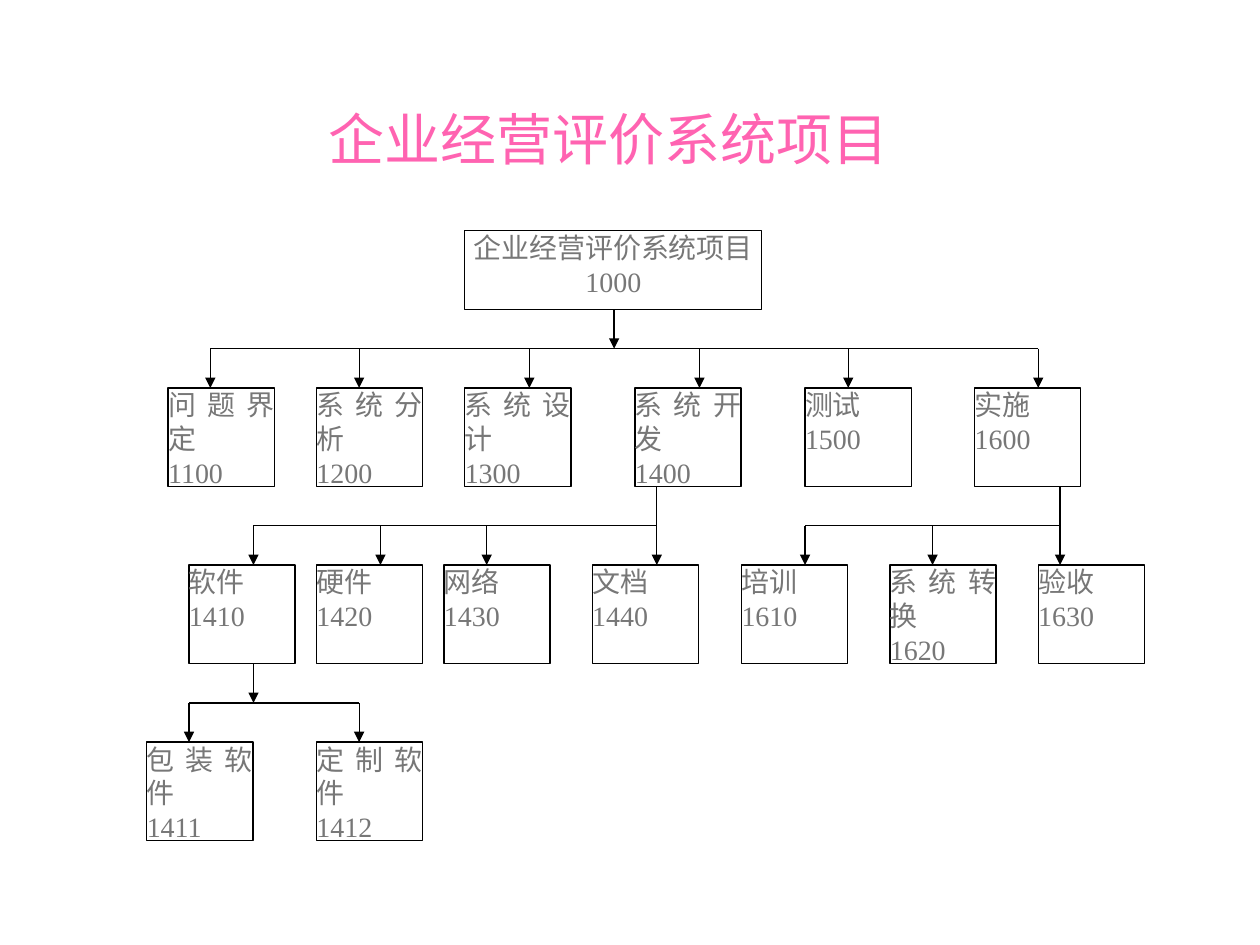
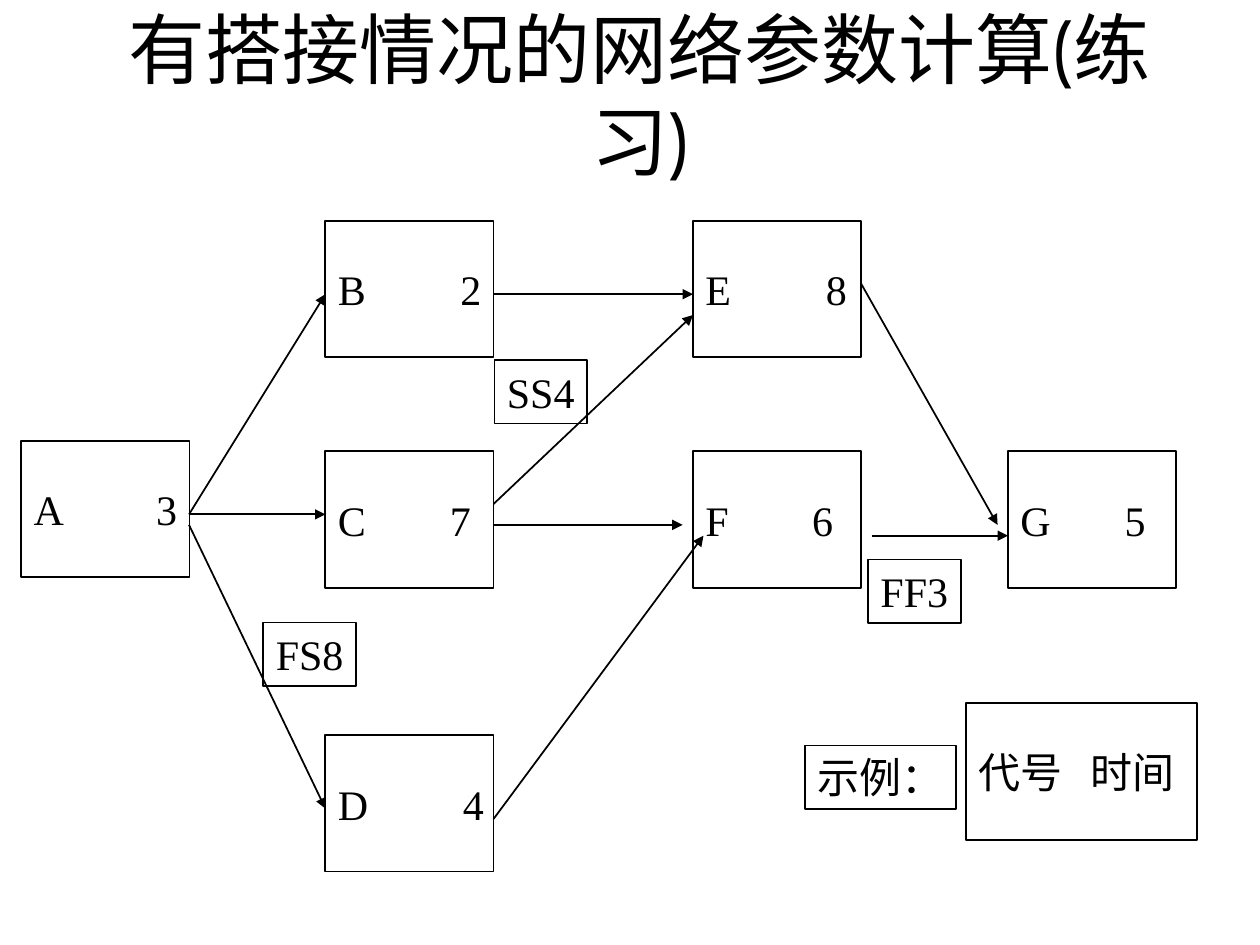
from lxml import etree
from pptx import Presentation
from pptx.dml.color import RGBColor
from pptx.enum.shapes import MSO_CONNECTOR, MSO_SHAPE
from pptx.enum.text import MSO_ANCHOR, PP_ALIGN
from pptx.oxml.ns import qn
from pptx.util import Cm, Pt

RECT, STRAIGHT = MSO_SHAPE.RECTANGLE, MSO_CONNECTOR.STRAIGHT
TOP, MIDDLE = MSO_ANCHOR.TOP, MSO_ANCHOR.MIDDLE
LEFT, CENTER, JUSTIFY = PP_ALIGN.LEFT, PP_ALIGN.CENTER, PP_ALIGN.JUSTIFY
BLACK, WHITE, GREY, PINK = "000000", "FFFFFF", "777777", "FF63B1"
SERIF, SANS = "Times New Roman", "Cabin"

# Formats: frame, text and outline values of each kind of box
inset = {"margin_left": Cm(0.25), "margin_right": Cm(0.25),
         "margin_top": Cm(0.13), "margin_bottom": Cm(0.13)}
TITLE = dict(frame={**inset, "word_wrap": True, "vertical_anchor": MIDDLE},
             font={"name": SANS, "size": Pt(32)}, color=PINK,
             align=CENTER, fill=None, line=0)
BIG_TITLE = {**TITLE, "font": {"name": SANS, "size": Pt(44)}, "color": BLACK}
TASK = dict(frame={**dict.fromkeys(inset, 0), "word_wrap": True, "vertical_anchor": TOP},
            font={"name": SERIF, "size": Pt(16)}, color=GREY,
            align=JUSTIFY, fill=WHITE, line=0.75)
ROOT = {**TASK, "align": CENTER}
NODE = dict(frame={**inset, "margin_right": 0, "word_wrap": True, "vertical_anchor": MIDDLE},
            font={"name": SERIF, "size": Pt(24)}, color=BLACK,
            align=LEFT, fill=None, line=1)
LABEL = {**NODE, "frame": {**inset, "word_wrap": False, "vertical_anchor": TOP}}


def box(s, x, y, w, h, lines, fmt, tab=None):
    sp = s.shapes.add_shape(RECT, Cm(x), Cm(y), Cm(w), Cm(h))
    sp.shadow.inherit = False
    if fmt["fill"]:
        sp.fill.solid()
        sp.fill.fore_color.rgb = RGBColor.from_string(fmt["fill"])
    else:
        sp.fill.background()
    if fmt["line"]:
        sp.line.color.rgb = RGBColor.from_string(BLACK)
        sp.line.width = Pt(fmt["line"])
    else:
        sp.line.fill.background()
    tf = sp.text_frame
    for name, value in fmt["frame"].items():
        setattr(tf, name, value)
    for i, text in enumerate(lines):
        p = tf.add_paragraph() if i else tf.paragraphs[0]
        p.alignment = fmt["align"]
        if tab:
            tabs = etree.SubElement(p._p.get_or_add_pPr(), qn("a:tabLst"))
            etree.SubElement(tabs, qn("a:tab"), pos=str(Cm(tab)), algn="l")
        r = p.add_run()
        r.text = text
        for name, value in fmt["font"].items():
            setattr(r.font, name, value)
        r.font.color.rgb = RGBColor.from_string(fmt["color"])


def line(s, x1, y1, x2, y2, width, arrow=True):
    c = s.shapes.add_connector(STRAIGHT, Cm(x1), Cm(y1), Cm(x2), Cm(y2))
    c.line.color.rgb = RGBColor.from_string(BLACK)
    c.line.width = Pt(width)
    if arrow:
        etree.SubElement(c.line._ln, qn("a:tailEnd"), type="triangle")
    etree.SubElement(c._element.spPr, qn("a:effectLst"))


prs = Presentation()
prs.slide_width, prs.slide_height = Cm(25.4), Cm(19.05)
blank = prs.slide_layouts[6]

# Slide 1: work breakdown structure
s = prs.slides.add_slide(blank)
box(s, 1.47, 1.7, 21.59, 2.18, ["企业经营评价系统项目"], TITLE)
box(s, 9.37, 4.65, 5.99, 1.59, ["企业经营评价系统项目", "1000"], ROOT)

task_w, task_h, gap = 2.14, 1.99, 0.79
first_top, pitch = 7.82, 3.57
levels = [
    [(3.39, "问题界定", "1100"), (6.38, "系统分析", "1200"), (9.37, "系统设计", "1300"),
     (12.8, "系统开发", "1400"), (16.23, "测试", "1500"), (19.65, "实施", "1600")],
    [(3.81, "软件", "1410"), (6.38, "硬件", "1420"), (8.95, "网络", "1430"),
     (11.94, "文档", "1440"), (14.95, "培训", "1610"), (17.94, "系统转换", "1620"),
     (20.93, "验收", "1630")],
    [(2.96, "包装软件", "1411"), (6.38, "定制软件", "1412")],
]
for depth, tasks in enumerate(levels):
    for x, name, code in tasks:
        box(s, x, first_top + depth * pitch, task_w, task_h, [name, code], TASK)

# Branches: child level, stem x, arrow x positions
branches = [
    (0, 12.38, [4.24, 7.24, 10.67, 14.1, 17.1, 20.93]),
    (1, 13.24, [5.11, 7.67, 9.81, 13.24]),
    (1, 21.37, [16.23, 18.8, 21.37]),
    (2, 5.11, [3.81, 7.24]),
]
for depth, stem, drops in branches:
    top = first_top + depth * pitch
    bus = top - gap
    line(s, stem, bus - gap, stem, bus, 0.75, arrow=stem not in drops)
    line(s, drops[0], bus, drops[-1], bus, 0.75, arrow=False)
    for x in drops:
        line(s, x, bus, x, top, 0.75)

# Slide 2: activity network
s = prs.slides.add_slide(blank)
box(s, 1.47, 0.2, 22.86, 3.38, ["有搭接情况的网络参数计算(练习)"], BIG_TITLE)

# Activities: name, duration, left, top, tab stop of the duration
node_w, node_h = 3.39, 2.75
nodes = [
    ("A", "3", 0.43, 8.89, 2.47), ("E", "8", 13.97, 4.45, 2.43),
    ("C", "7", 6.56, 9.1, 2.26), ("F", "6", 13.97, 9.1, 2.15),
    ("D", "4", 6.56, 14.82, 2.52), ("B", "2", 6.56, 4.45, 2.47),
    ("G", "5", 20.32, 9.1, 2.1),
]
for name, days, x, y, tab in nodes:
    box(s, x, y, node_w, node_h, [f"{name}\t{days}"], NODE, tab)

# Dependencies
arrows = [
    (3.81, 10.37, 6.56, 10.37), (9.95, 5.93, 13.97, 5.93),
    (17.57, 10.8, 20.32, 10.8), (9.95, 10.58, 13.76, 10.58),
    (3.81, 10.37, 6.56, 5.93), (3.81, 10.58, 6.56, 16.3),
    (17.36, 5.72, 20.11, 10.58), (9.95, 16.51, 14.18, 10.8),
    (9.95, 10.16, 13.97, 6.35),
]
for ends in arrows:
    line(s, *ends, 1)

# Legend and overlap labels
box(s, 19.47, 14.18, 4.66, node_h, ["代号\t时间"], NODE, 2.26)
labels = [("示例：", 16.23, 15.03, 3.05), ("SS4", 9.97, 7.26, 1.87),
          ("FS8", 5.31, 12.55, 1.87), ("FF3", 17.5, 11.28, 1.87)]
for text, x, y, w in labels:
    box(s, x, y, w, 1.28, [text], LABEL)

prs.save("out.pptx")
